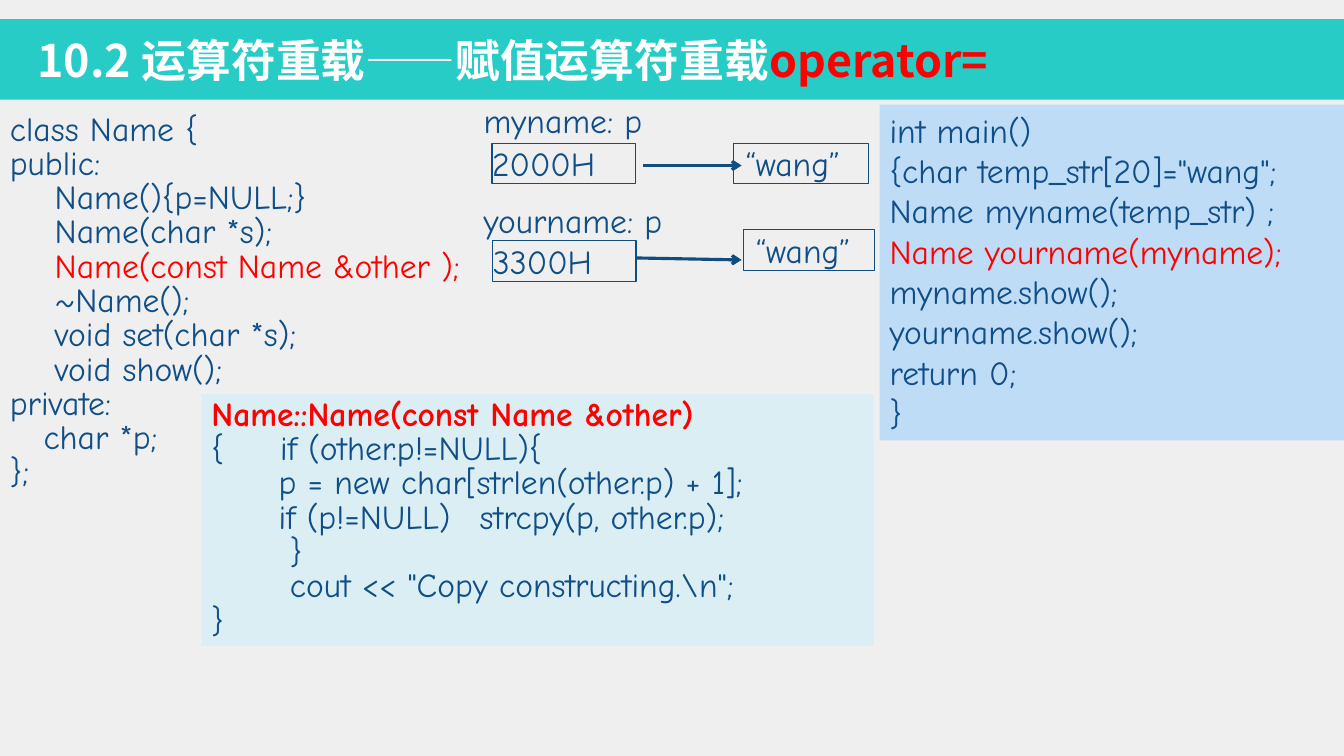
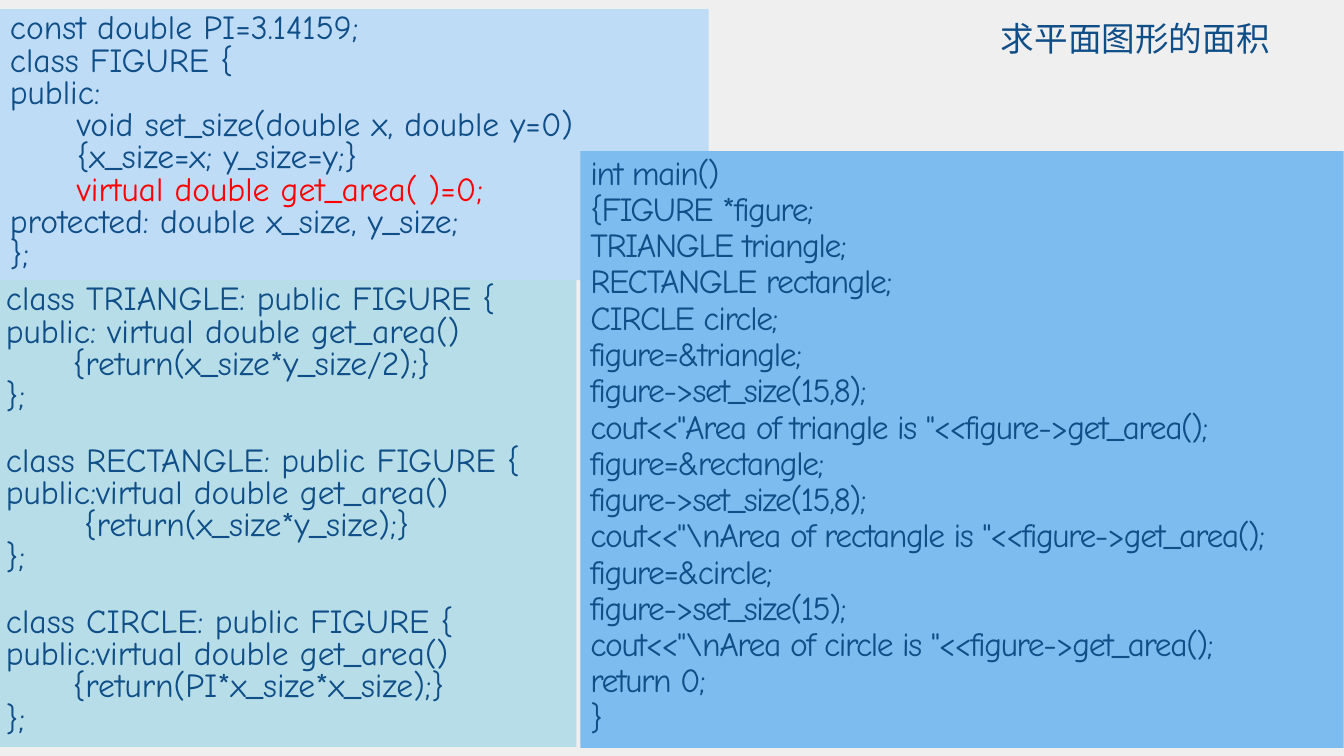
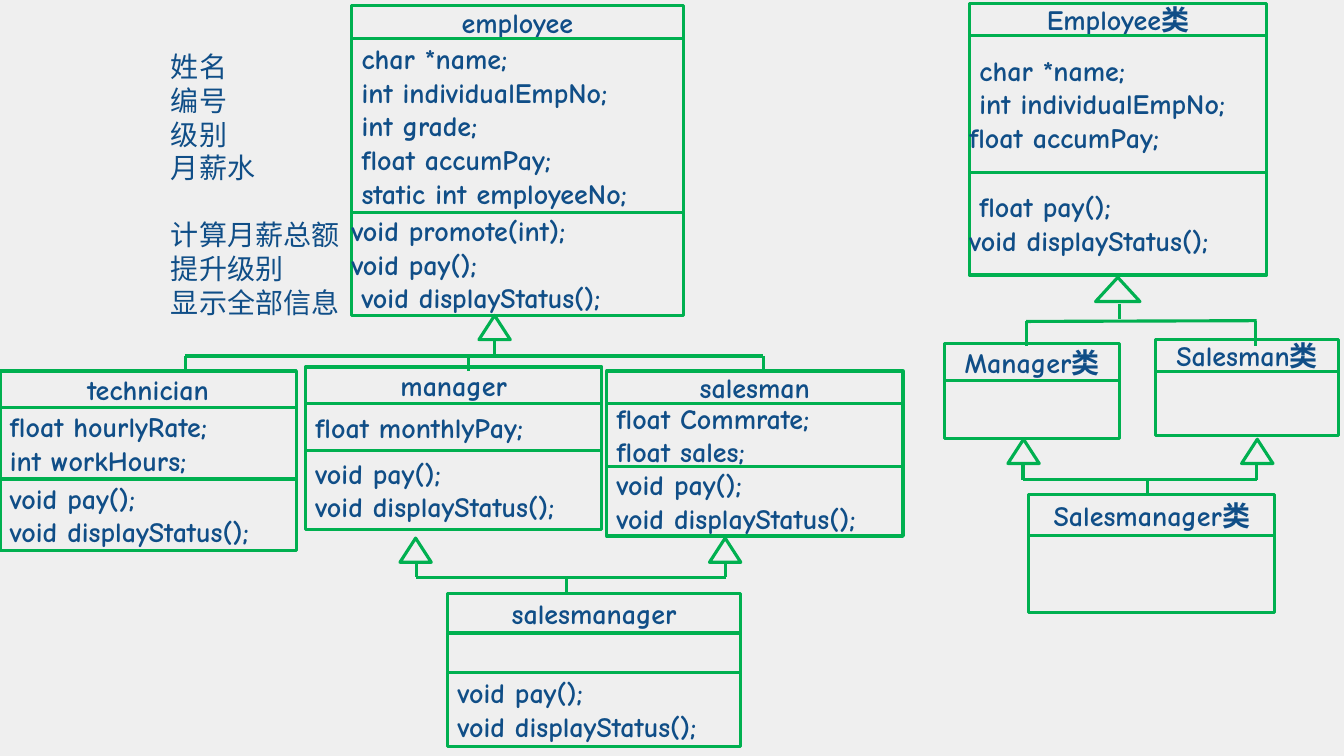
"""Build three C++ lecture slides: assignment operator, abstract class, class hierarchy."""
import pptx
import pptx.util
import pptx.dml.color
import pptx.enum.shapes
import pptx.enum.text
import pptx.oxml.ns
from lxml import etree

Cm = pptx.util.Cm
Pt = pptx.util.Pt
RGBColor = pptx.dml.color.RGBColor
MSO_SHAPE = pptx.enum.shapes.MSO_SHAPE
STRAIGHT = pptx.enum.shapes.MSO_CONNECTOR.STRAIGHT
PP_ALIGN = pptx.enum.text.PP_ALIGN
MSO_ANCHOR = pptx.enum.text.MSO_ANCHOR
qn = pptx.oxml.ns.qn

BACKGROUND = RGBColor(0xEF, 0xEF, 0xEF)
TEXT_BLUE = RGBColor(0x10, 0x4E, 0x87)
LINE_BLUE = RGBColor(0x10, 0x4D, 0x7E)
RED = RGBColor(0xFF, 0x00, 0x00)
WHITE = RGBColor(0xFF, 0xFF, 0xFF)
GREEN = RGBColor(0x00, 0xB0, 0x50)
TEAL = RGBColor(0x26, 0xCC, 0xC5)
PALE_BLUE = RGBColor(0xBF, 0xDC, 0xF7)
PALE_CYAN = RGBColor(0xDB, 0xEE, 0xF4)
SOFT_CYAN = RGBColor(0xB7, 0xDE, 0xE8)
SKY_BLUE = RGBColor(0x7C, 0xBC, 0xEE)
CODE_FONT = "Comic Neue"
CJK_FONT = "Noto Sans CJK JP"
TAB = 1.69


def add_box(s, x, y, w, h, fill=None, line=None, weight=2.25, shape=MSO_SHAPE.RECTANGLE):
    sp = s.shapes.add_shape(shape, Cm(x), Cm(y), Cm(w), Cm(h))
    sp.shadow.inherit = False
    if fill is None:
        sp.fill.background()
    else:
        sp.fill.solid()
        sp.fill.fore_color.rgb = fill
    if line is None:
        sp.line.fill.background()
    else:
        sp.line.color.rgb = line
        sp.line.width = Pt(weight)
    return sp


def write(tf, text, size=24, spacing=1.0, bold=False, color=TEXT_BLUE, font=CODE_FONT,
          align=PP_ALIGN.LEFT, anchor=MSO_ANCHOR.TOP, red=None, gaps=(), gap=0, tracking=0):
    tf.word_wrap = True
    tf.auto_size = pptx.enum.text.MSO_AUTO_SIZE.NONE
    tf.vertical_anchor = anchor
    tf.text = text
    for i, p in enumerate(tf.paragraphs):
        p.alignment = align
        p.line_spacing = spacing
        if i in gaps:
            p.space_before = Pt(gap)
        if "\t" in p.text:
            tabs = etree.SubElement(p._p.get_or_add_pPr(), qn("a:tabLst"))
            for n in range(1, 5):
                etree.SubElement(tabs, qn("a:tab"), pos=str(Cm(TAB * n)), algn="l")
        for r in p.runs:
            r.font.size = Pt(size)
            r.font.bold = bold
            r.font.color.rgb = RED if i == red else color
            r.font.name = font
            rPr = r._r.get_or_add_rPr()
            etree.SubElement(rPr, qn("a:ea"), typeface=CJK_FONT)
            if tracking:
                rPr.set("spc", str(tracking))


prs = pptx.Presentation()
prs.slide_width = Cm(33.87)
prs.slide_height = Cm(19.05)
prs.slide_master.background.fill.solid()
prs.slide_master.background.fill.fore_color.rgb = BACKGROUND
TITLE_ONLY = prs.slide_layouts[5]
BLANK = prs.slide_layouts[6]

s = prs.slides.add_slide(TITLE_ONLY)
title = s.shapes.title
title.left, title.top, title.width, title.height = Cm(0.69), Cm(0.64), Cm(27.41), Cm(1.63)
write(title.text_frame, "10.2 运算符重载——赋值运算符重载", 32, Pt(40), True, WHITE, CJK_FONT)
r = title.text_frame.paragraphs[0].add_run()
r.text = "operator="
r.font.size = Pt(32)
r.font.bold = True
r.font.name = CJK_FONT
r.font.color.rgb = RED
band = add_box(s, 0, 0.48, 33.87, 2.03, TEAL)
title._element.addprevious(band._element)

sp = add_box(s, 22.17, 2.64, 11.7, 8.46, PALE_BLUE)
write(sp.text_frame, """int main()
{char temp_str[20]="wang";
Name myname(temp_str) ;
Name yourname(myname);
myname.show();
yourname.show();
return 0;
}""", red=3)

sp = s.shapes.add_textbox(Cm(0), Cm(2.74), Cm(13.56), Cm(9.86))
write(sp.text_frame, """class Name {
public:
    Name(){p=NULL;}
    Name(char *s);
    Name(const Name &other );
    ~Name();
    void set(char *s);
    void show();
private:
   char *p;
};""", spacing=0.85, red=4)

sp = add_box(s, 5.08, 9.93, 16.94, 6.35, PALE_CYAN)
write(sp.text_frame, """Name::Name(const Name &other)
{     if (other.p!=NULL){
\tp = new char[strlen(other.p) + 1];
\tif (p!=NULL)\tstrcpy(p, other.p);
       }
       cout << "Copy constructing.\\n";
}""", spacing=0.85, red=0)
sp.text_frame.paragraphs[0].runs[0].font.bold = True

for label, y in [("myname: p", 2.36), ("yourname: p", 4.88)]:
    sp = s.shapes.add_textbox(Cm(11.94), Cm(y), Cm(8.08), Cm(1.2))
    write(sp.text_frame, label, spacing=Pt(30))

for value, x, y, w, inset in [
    ("2000H", 12.4, 3.61, 3.61, 0),
    ("“wang”", 18.49, 3.61, 3.4, 0.3),
    ("3300H", 12.42, 6.07, 3.61, 0),
    ("“wang”", 18.75, 5.79, 3.28, 0.3),
]:
    sp = add_box(s, x, y, w, 1.02, line=LINE_BLUE, weight=0.75)
    tf = sp.text_frame
    tf.margin_left = Cm(inset)
    tf.margin_right = tf.margin_top = tf.margin_bottom = 0
    write(tf, value)

for x1, y1, x2, y2 in [(16.21, 4.17, 18.69, 4.17), (16.03, 6.5, 18.69, 6.55)]:
    arrow = s.shapes.add_connector(STRAIGHT, Cm(x1), Cm(y1), Cm(x2), Cm(y2))
    arrow.line.color.rgb = LINE_BLUE
    arrow.line.width = Pt(2.25)
    etree.SubElement(arrow._element.spPr.find(qn("a:ln")), qn("a:tailEnd"), type="arrow")

s = prs.slides.add_slide(TITLE_ONLY)
title = s.shapes.title
title.left, title.top, title.width, title.height = Cm(24.97), Cm(0.53), Cm(8.89), Cm(1.12)
write(title.text_frame, "求平面图形的面积", spacing=0.8)

sp = add_box(s, 0, 0.23, 17.86, 6.83, PALE_BLUE)
write(sp.text_frame, """const double PI=3.14159;
class FIGURE {
public:
\tvoid set_size(double x, double y=0)
\t{x_size=x; y_size=y;}
\tvirtual double get_area( )=0;
protected: double x_size, y_size;
};""", spacing=0.8, red=5)

sp = add_box(s, -0.1, 7.06, 14.63, 11.76, SOFT_CYAN)
write(sp.text_frame, """class TRIANGLE: public FIGURE {
public: virtual double get_area()
\t{return(x_size*y_size/2);}
};
class RECTANGLE: public FIGURE {
public:virtual double get_area()
\t {return(x_size*y_size);}
};
class CIRCLE: public FIGURE {
public:virtual double get_area()
\t{return(PI*x_size*x_size);}
};""", spacing=0.8, gaps=(4, 8), gap=23)

sp = add_box(s, 14.63, 3.81, 19.23, 15.04, SKY_BLUE)
write(sp.text_frame, """int main()
{FIGURE *figure;
TRIANGLE triangle;
RECTANGLE rectangle;
CIRCLE circle;
figure=&triangle;
figure->set_size(15,8);
cout<<"Area of triangle is "<<figure->get_area();
figure=&rectangle;
figure->set_size(15,8);
cout<<"\\nArea of rectangle is "<<figure->get_area();
figure=&circle;
figure->set_size(15);
cout<<"\\nArea of circle is "<<figure->get_area();
return 0;
}""", spacing=0.9, tracking=-100)

s = prs.slides.add_slide(BLANK)
PAY_STATUS = " void pay();\n void displayStatus();"
classes = [
    (8.86, 8.36, (0.15, 0.97, 5.36, 7.95), (
        "employee",
        " char *name;\n int individualEmpNo;\n int grade;\n float accumPay;\n static int employeeNo;",
        "void promote(int);\nvoid pay();\n void displayStatus();")),
    (0, 7.47, (9.35, 10.26, 12.07, 13.87),
     ("technician", " float hourlyRate;\n int workHours;", PAY_STATUS)),
    (7.7, 7.47, (9.25, 10.16, 11.35, 13.34), ("manager", " float monthlyPay;", PAY_STATUS)),
    (15.29, 7.47, (9.35, 10.16, 11.76, 13.51),
     ("salesman", " float Commrate;\n float sales;", PAY_STATUS)),
    (11.28, 7.39, (14.96, 15.95, 16.94, 18.82), ("salesmanager", "", PAY_STATUS)),
    (24.43, 7.49, (0.1, 0.89, 4.34, 6.93), (
        "Employee类",
        " char *name;\n int individualEmpNo;\nfloat accumPay;",
        " float pay();\nvoid displayStatus();")),
    (23.8, 4.42, (8.66, 9.58, 11.05), ("Manager类", "")),
    (29.13, 4.6, (8.56, 9.37, 10.97), ("Salesman类", "")),
    (25.93, 6.2, (12.47, 13.49, 15.44), ("Salesmanager类", "")),
]
for x, w, edges, sections in classes:
    for i, text in enumerate(sections):
        sp = add_box(s, x, edges[i], w, edges[i + 1] - edges[i], line=GREEN)
        if text:
            tf = sp.text_frame
            tf.margin_left = tf.margin_right = tf.margin_top = tf.margin_bottom = 0
            write(tf, text, 20, bold=True, anchor=MSO_ANCHOR.MIDDLE,
                  align=PP_ALIGN.LEFT if i else PP_ALIGN.CENTER)

for x, y, w in [(12.07, 7.95, 0.79), (10.08, 13.56, 0.79), (17.88, 13.56, 0.79),
                (27.61, 6.99, 1.12), (25.4, 11.07, 0.79), (31.29, 11.07, 0.79)]:
    add_box(s, x, y, w, 0.61, line=GREEN, shape=MSO_SHAPE.ISOSCELES_TRIANGLE)

bars = [(4.67, 8.97, 19.23, 8.97), (10.49, 14.55, 18.29, 14.55),
        (25.86, 8.1, 31.67, 8.08), (25.78, 12.09, 31.67, 12.09)]
stems = [((12.47,), 8.56, 8.97), ((4.67, 11.81, 19.23), 8.97, 9.35),
         ((10.49, 18.29), 14.15, 14.55), ((14.27,), 14.55, 14.96),
         ((28.22,), 7.65, 8.05), ((25.86, 31.65), 8.1, 8.71),
         ((25.78, 31.67), 11.68, 12.09), ((28.91,), 12.09, 12.5)]
for x1, y1, x2, y2 in bars + [(x, y1, x, y2) for xs, y1, y2 in stems for x in xs]:
    link = s.shapes.add_connector(STRAIGHT, Cm(x1), Cm(y1), Cm(x2), Cm(y2))
    link.line.color.rgb = GREEN
    link.line.width = Pt(2.25)

sp = s.shapes.add_textbox(Cm(4.06), Cm(1.13), Cm(5.66), Cm(7.11))
write(sp.text_frame, "姓名\n编号\n级别\n月薪水\n计算月薪总额\n提升级别\n显示全部信息",
      20, Pt(24), font=CJK_FONT, gaps=(4,), gap=24)

for s in prs.slides:
    for cn in s.shapes:
        if cn.shape_type == pptx.enum.shapes.MSO_SHAPE_TYPE.LINE:
            etree.SubElement(cn._element.spPr, qn("a:effectLst"))

prs.save("out.pptx")
